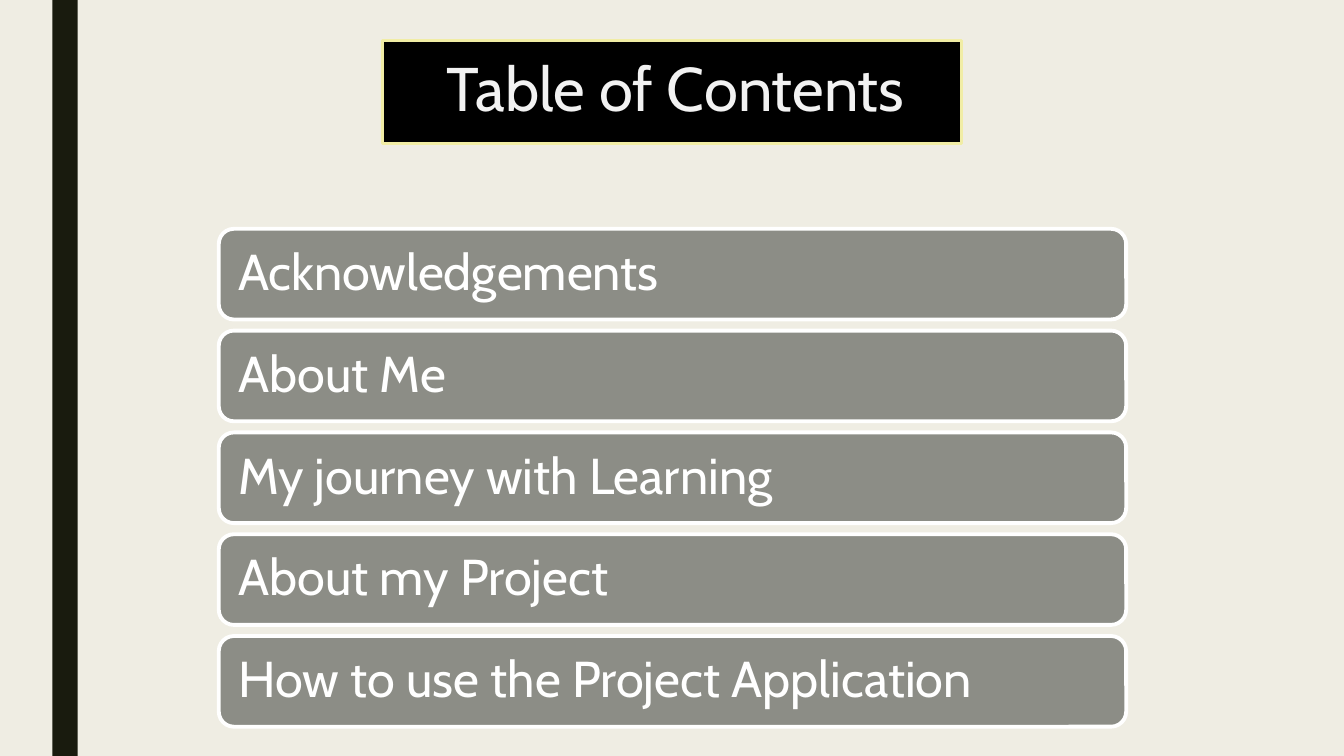
import dataclasses

import pptx
import pptx.dml.color
import pptx.enum.shapes
import pptx.enum.text
import pptx.util

SHAPES = pptx.enum.shapes.MSO_SHAPE
SLIDE_WIDTH = 13.33
SLIDE_HEIGHT = 7.5

TITLE = "Table of Contents"
CHAPTERS = [
    "Acknowledgements",
    "About Me",
    "My journey with Learning",
    "About my Project",
    "How to use the Project Application",
]


@dataclasses.dataclass(frozen=True)
class Theme:
    font: str = "Cabin"
    title_size: int = 44
    chapter_size: int = 36
    background: str = "EFEDE3"
    stripe: str = "191B0E"
    title_fill: str = "000000"
    title_border: str = "F1EDA5"
    title_text: str = "F2F2F2"
    chapter_fill: str = "8C8D86"
    chapter_border: str = "FFFFFF"
    chapter_text: str = "FFFFFF"


@dataclasses.dataclass(frozen=True)
class ChapterGrid:
    left: float = 2.17
    top: float = 2.27
    width: float = 9
    bar_height: float = 0.9
    row_pitch: float = 1.01

    def row(self, index):
        return self.left, self.top + index * self.row_pitch, self.width, self.bar_height


THEME = Theme()
GRID = ChapterGrid()


def rgb(code):
    return pptx.dml.color.RGBColor.from_string(code)


def add_box(page, kind, bounds, fill, border=None, border_width=0):
    box = page.shapes.add_shape(kind, *map(pptx.util.Inches, bounds))
    box.shadow.inherit = False
    box.fill.solid()
    box.fill.fore_color.rgb = rgb(fill)
    if border:
        box.line.color.rgb = rgb(border)
        box.line.width = pptx.util.Pt(border_width)
    else:
        box.line.fill.background()
    return box


def write_text(box, text, size, color, left_margin):
    frame = box.text_frame
    frame.word_wrap = True
    frame.vertical_anchor = pptx.enum.text.MSO_ANCHOR.MIDDLE
    frame.margin_left = pptx.util.Inches(left_margin)
    para = frame.paragraphs[0]
    para.text = text
    para.alignment = pptx.enum.text.PP_ALIGN.LEFT
    para.line_spacing = 0.9
    para.font.name = THEME.font
    para.font.size = pptx.util.Pt(size)
    para.font.color.rgb = rgb(color)


def add_title(page):
    box = add_box(page, SHAPES.RECTANGLE, (3.79, 0.4, 5.75, 1.02),
                  THEME.title_fill, THEME.title_border, 2)
    write_text(box, TITLE, THEME.title_size, THEME.title_text, 0.64)


def add_chapter(page, index, chapter):
    bar = add_box(page, SHAPES.ROUNDED_RECTANGLE, GRID.row(index),
                  THEME.chapter_fill, THEME.chapter_border, 2.75)
    write_text(bar, chapter, THEME.chapter_size, THEME.chapter_text, 0.15)


def main():
    deck = pptx.Presentation()
    deck.slide_width = pptx.util.Inches(SLIDE_WIDTH)
    deck.slide_height = pptx.util.Inches(SLIDE_HEIGHT)
    page = deck.slides.add_slide(deck.slide_layouts[6])
    page.background.fill.solid()
    page.background.fill.fore_color.rgb = rgb(THEME.background)

    add_box(page, SHAPES.RECTANGLE, (0.52, 0, 0.25, SLIDE_HEIGHT), THEME.stripe)
    add_title(page)
    for index, chapter in enumerate(CHAPTERS):
        add_chapter(page, index, chapter)
    deck.save("out.pptx")


if __name__ == "__main__":
    main()
